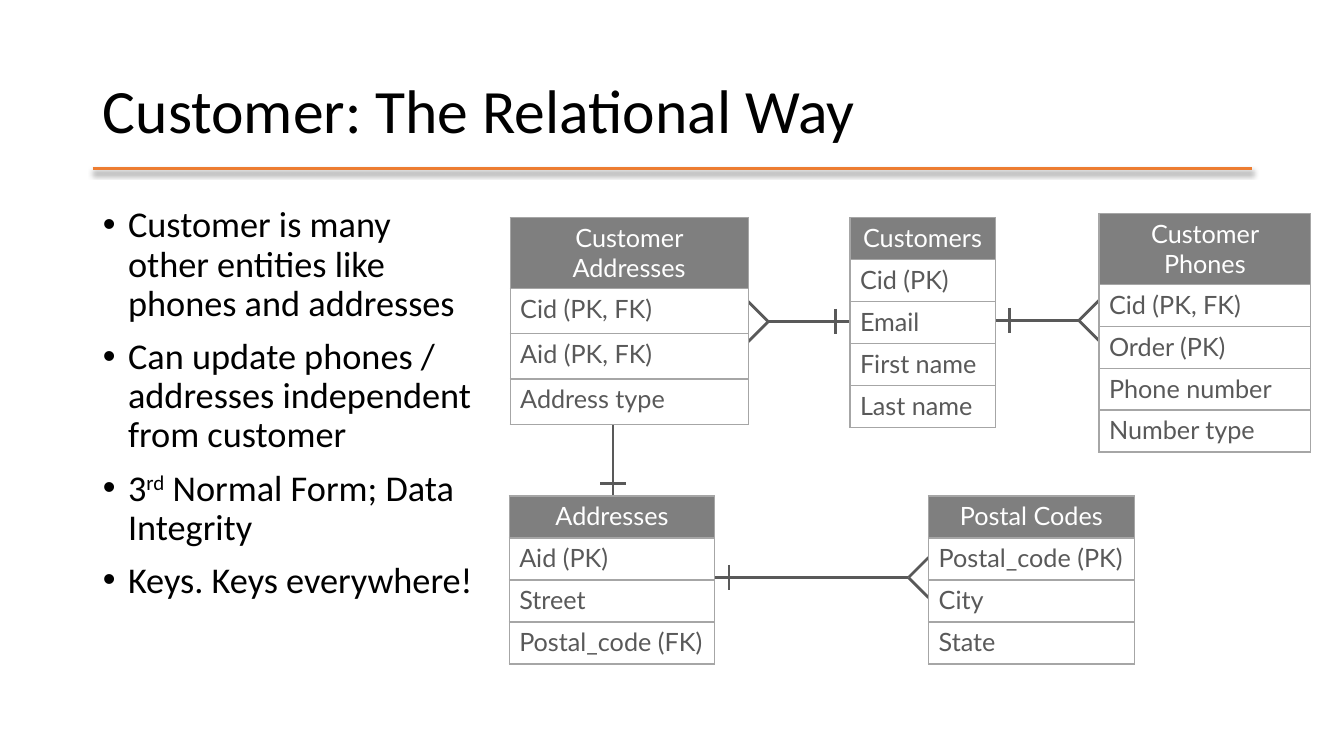
"""Build the slide that models a customer in relational tables."""
import pptx
import pptx.dml.color
import pptx.enum.shapes
import pptx.enum.text
import pptx.oxml
import pptx.oxml.ns
import pptx.util

TITLE = "Customer: The Relational Way"
BULLETS = [
    [("Customer is many other entities like phones and addresses", False)],
    [("Can update phones / addresses independent from customer", False)],
    [("3", False), ("rd", True), (" Normal Form; Data Integrity", False)],
    [("Keys. Keys everywhere!", False)],
]
ENTITIES = {
    "Customers": ["Cid (PK)", "Email", "First name", "Last name"],
    "Customer Phones": ["Cid (PK, FK)", "Order (PK)", "Phone number", "Number type"],
    "Customer Addresses": ["Cid (PK, FK)", "Aid (PK, FK)", "Address type"],
    "Addresses": ["Aid (PK)", "Street", "Postal_code (FK)"],
    "Postal Codes": ["Postal_code (PK)", "City", "State"],
}
LAYOUT = {
    "Customers": (8.43, 2.16, 1.44, 0.416),
    "Customer Phones": (10.9, 2.12, 2.1, 0.416),
    "Customer Addresses": (5.06, 2.16, 2.36, 0.45),
    "Addresses": (5.05, 4.92, 2.04, 0.417),
    "Postal Codes": (9.21, 4.92, 2.04, 0.417),
}
RELATIONS = [
    ("Customers", "Customer Addresses", 3.19),
    ("Customers", "Customer Phones", 3.18),
    ("Addresses", "Postal Codes", 5.73),
]
SLIDE_SIZE = (13.33, 7.5)
TITLE_BOX = (0.92, 0.4, 11.5, 1.45)
BODY_BOX = (0.92, 2, 3.87, 4.76)
RULE_Y = 1.67
ADDRESS_LINK = (6.08, 4.14)
BAR_GAP, BAR_HALF, FORK = 0.14, 0.125, 0.2
THEME = {
    "text": "000000", "rule": "ED7D31", "link": "595959", "cell_text": "595959",
    "header": "7F7F7F", "header_text": "FFFFFF", "cell": "FFFFFF", "border": "A6A6A6",
    "title_font": "Calibri", "table_font": "Lato",
    "title_size": 44, "body_size": 25.9, "table_size": 18,
    "rule_width": 2.25, "link_width": 2, "border_width": 1,
}
Inches = pptx.util.Inches


def color(name):
    return pptx.dml.color.RGBColor.from_string(THEME[name])


def assign(target, values):
    for name, value in values.items():
        setattr(target, name, value)


def place(shape, box):
    assign(shape, dict(zip(("left", "top", "width", "height"), map(Inches, box))))


def format_font(font, family, size, color_name):
    assign(font, {"name": THEME[family], "size": pptx.util.Pt(THEME[size]), "bold": False})
    font.color.rgb = color(color_name)


def add_line(slide, start, end, kind="link", shadow=""):
    line = slide.shapes.add_connector(
        pptx.enum.shapes.MSO_CONNECTOR.STRAIGHT, *map(Inches, (*start, *end)))
    line.line.color.rgb = color(kind)
    line.line.width = pptx.util.Pt(THEME[kind + "_width"])
    line._element.spPr.append(pptx.oxml.parse_xml(
        f'<a:effectLst {pptx.oxml.ns.nsdecls("a")}>{shadow}</a:effectLst>'))


def add_rule(slide):
    left, _, width, _ = TITLE_BOX
    shadow = ('<a:outerShdw blurRad="50800" dist="38100" dir="5400000" algn="t" rotWithShape="0">'
              '<a:srgbClr val="000000"><a:alpha val="40000"/></a:srgbClr></a:outerShdw>')
    add_line(slide, (left, RULE_Y), (left + width, RULE_Y), "rule", shadow)


def add_relation(slide, one, many, y):
    one_left, _, one_width, _ = LAYOUT[one]
    many_left, _, many_width, _ = LAYOUT[many]
    rightward = many_left > one_left
    direction = 1 if rightward else -1
    start = one_left + one_width if rightward else one_left
    end = many_left if rightward else many_left + many_width
    apex = end - direction * FORK
    bar = start + direction * BAR_GAP
    add_line(slide, (start, y), (apex, y))
    add_line(slide, (bar, y - BAR_HALF), (bar, y + BAR_HALF))
    for side in (-1, 1):
        add_line(slide, (apex, y), (end, y + side * FORK))


def add_address_link(slide):
    x, top = ADDRESS_LINK
    bottom = LAYOUT["Addresses"][1]
    bar = bottom - BAR_GAP + 0.02
    add_line(slide, (x, top), (x, bottom))
    add_line(slide, (x - BAR_HALF, bar), (x + BAR_HALF, bar))


def format_cell(cell, text, is_header):
    properties = cell._tc.get_or_add_tcPr()
    width = pptx.util.Pt(THEME["border_width"])
    for edge in ("lnL", "lnR", "lnT", "lnB"):
        properties.append(pptx.oxml.parse_xml(
            f'<a:{edge} {pptx.oxml.ns.nsdecls("a")} w="{width}"><a:solidFill>'
            f'<a:srgbClr val="{THEME["border"]}"/></a:solidFill></a:{edge}>'))
    cell.fill.solid()
    cell.fill.fore_color.rgb = color("header" if is_header else "cell")
    cell.text = text
    paragraph = cell.text_frame.paragraphs[0]
    alignment = pptx.enum.text.PP_ALIGN
    paragraph.alignment = alignment.CENTER if is_header else alignment.LEFT
    format_font(paragraph.runs[0].font, "table_font", "table_size",
                "header_text" if is_header else "cell_text")


def add_entity(slide, name, fields):
    left, top, width, row_height = LAYOUT[name]
    texts = [name, *fields]
    box = map(Inches, (left, top, width, row_height * len(texts)))
    table = slide.shapes.add_table(len(texts), 1, *box).table
    assign(table, {"first_row": False, "horz_banding": False})
    for index, text in enumerate(texts):
        table.rows[index].height = Inches(row_height)
        format_cell(table.cell(index, 0), text, index == 0)


def fill_title(title):
    place(title, TITLE_BOX)
    title.text = TITLE
    assign(title.text_frame, {"vertical_anchor": pptx.enum.text.MSO_ANCHOR.MIDDLE,
                              "auto_size": pptx.enum.text.MSO_AUTO_SIZE.NONE})
    paragraph = title.text_frame.paragraphs[0]
    assign(paragraph, {"alignment": pptx.enum.text.PP_ALIGN.LEFT, "line_spacing": 0.9})
    format_font(paragraph.runs[0].font, "title_font", "title_size", "text")


def fill_body(body):
    place(body, BODY_BOX)
    frame = body.text_frame
    frame.auto_size = pptx.enum.text.MSO_AUTO_SIZE.NONE
    for index, pieces in enumerate(BULLETS):
        paragraph = frame.add_paragraph() if index else frame.paragraphs[0]
        assign(paragraph, {"line_spacing": 0.9, "space_before": pptx.util.Pt(10)})
        properties = paragraph._p.get_or_add_pPr()
        properties.set("marL", str(Inches(0.25)))
        properties.set("indent", str(-Inches(0.25)))
        for text, raised in pieces:
            run = paragraph.add_run()
            run.text = text
            format_font(run.font, "title_font", "body_size", "text")
            if raised:
                run._r.get_or_add_rPr().set("baseline", "30000")


def main():
    presentation = pptx.Presentation()
    assign(presentation, dict(zip(("slide_width", "slide_height"), map(Inches, SLIDE_SIZE))))
    slide = presentation.slides.add_slide(presentation.slide_layouts[1])
    add_rule(slide)
    fill_title(slide.shapes.title)
    fill_body(slide.placeholders[1])
    for one, many, y in RELATIONS:
        add_relation(slide, one, many, y)
    add_address_link(slide)
    for name, fields in ENTITIES.items():
        add_entity(slide, name, fields)
    presentation.save("out.pptx")


if __name__ == "__main__":
    main()
